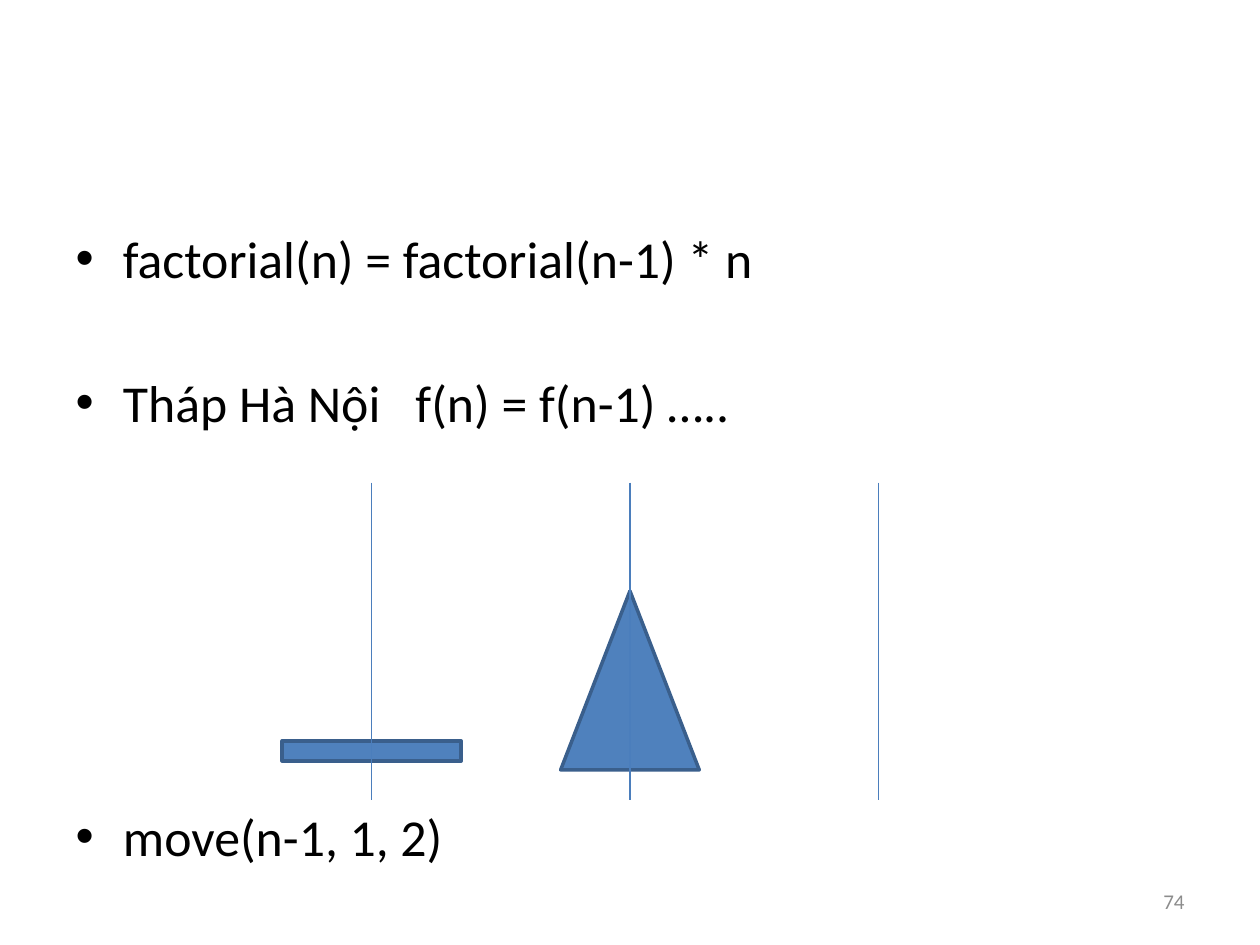
"""Build a slide on recursion with the Tower of Hanoi pegs."""
from lxml import etree
from pptx import Presentation
from pptx import util as u
from pptx.dml import color
from pptx.enum import shapes, text
from pptx.oxml import ns


def rgb(value):
    return color.RGBColor.from_string(value)


def format_text(paragraph, size, value):
    for run in paragraph.runs:
        run.font.name = "Calibri"
        run.font.size = u.Pt(size)
        run.font.color.rgb = rgb(value)


presentation = Presentation()
presentation.slide_width = u.Inches(10)
presentation.slide_height = u.Inches(7.5)
slide = presentation.slides.add_slide(presentation.slide_layouts[1])
title, body = slide.placeholders
title.element.getparent().remove(title.element)

body.left, body.top = u.Inches(0.5), u.Inches(1.75)
body.width, body.height = u.Inches(9), u.Inches(5.39)
body_frame = body.text_frame
body_frame.text = "factorial(n) = factorial(n-1) * n\nTháp Hà Nội   f(n) = f(n-1) …..\nmove(n-1, 1, 2)"
body_frame.auto_size = text.MSO_AUTO_SIZE.NONE
line_pitch, line_height = 41.4, 36.1
for paragraph, lines_down in zip(body_frame.paragraphs, (1, 2, 6)):
    paragraph.space_before = u.Pt(lines_down * line_pitch - line_height)
    format_text(paragraph, 29.6, "000000")

discs = (
    (shapes.MSO_SHAPE.ISOSCELES_TRIANGLE, 4.45, 4.69, 1.1, 1.42),
    (shapes.MSO_SHAPE.RECTANGLE, 2.24, 5.88, 1.42, 0.16),
)
for kind, *box in discs:
    shape = slide.shapes.add_shape(kind, *map(u.Inches, box))
    shape.shadow.inherit = False
    shape.fill.solid()
    shape.fill.fore_color.rgb = rgb("4F81BD")
    shape.line.color.rgb = rgb("3A5F8C")
    shape.line.width = u.Pt(2)

peg_top, peg_bottom = u.Inches(3.83), u.Inches(6.35)
for peg in map(u.Inches, (2.95, 5, 6.97)):
    connector = slide.shapes.add_connector(shapes.MSO_CONNECTOR.STRAIGHT, peg, peg_top, peg, peg_bottom)
    connector.line.color.rgb = rgb("4B7EBC")
    connector.line.width = u.Pt(0.75)
    etree.SubElement(connector.element.spPr, ns.qn("a:effectLst"))

number = slide.shapes.add_textbox(u.Inches(7.17), u.Inches(6.95), u.Inches(2.33), u.Inches(0.4))
number_frame = number.text_frame
number_frame.word_wrap = True
number_frame.vertical_anchor = text.MSO_ANCHOR.MIDDLE
number_frame.text = "74"
number_frame.paragraphs[0].alignment = text.PP_ALIGN.RIGHT
format_text(number_frame.paragraphs[0], 12, "8C8C8C")

presentation.save("out.pptx")
